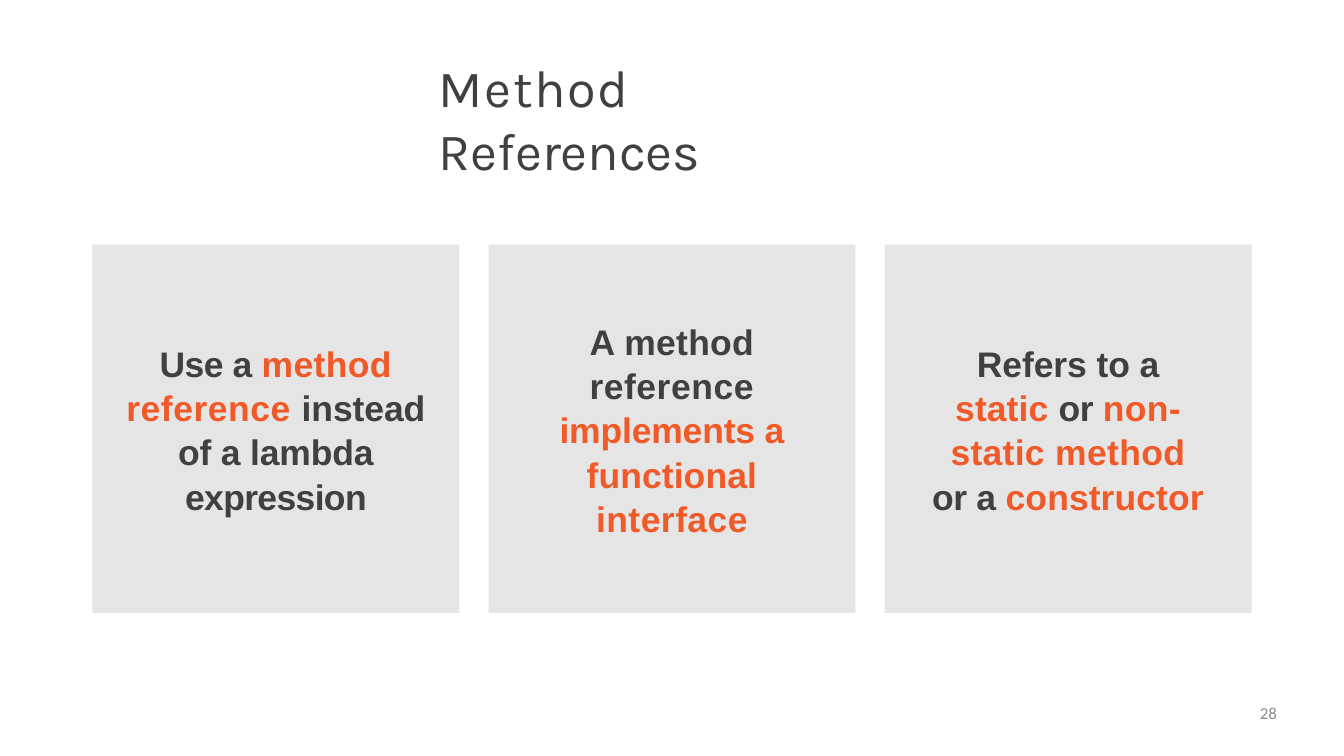
"""Build the slide that introduces method references in three cards."""
import pptx
import pptx.dml.color
import pptx.enum.shapes
import pptx.enum.text
import pptx.util

Inches = pptx.util.Inches
ALIGN = pptx.enum.text.PP_ALIGN
ANCHOR = pptx.enum.text.MSO_ANCHOR

DARK, ORANGE, GREY, PALE = "404040", "F05A28", "8C8C8C", "E5E5E5"
SLIDE_WIDTH, SLIDE_HEIGHT = 20, 11.25
CARD_WIDTH, CARD_HEIGHT, CARD_TOP, CARD_PITCH = 5.46, 5.48, 3.64, 5.895

TITLE = [[("Method", DARK, 1.7)], [("References", DARK, -0.1)]]
PAGE_NUMBER = [[("28", GREY, 0)]]
CARDS = [
    [
        [("Use a ", DARK, -0.5), ("method", ORANGE, 0.4)],
        [("reference ", ORANGE, 0.6), ("instead", DARK, -0.1)],
        [("of a lambda", DARK, -0.2)],
        [("expression", DARK, -0.7)],
    ],
    [
        [("A method", DARK, 0.3)],
        [("reference", DARK, 0.6)],
        [("implements a", ORANGE, -0.2)],
        [("functional", ORANGE, 0.1)],
        [("interface", ORANGE, 0.5)],
    ],
    [
        [("Refers to a", DARK, -0.1)],
        [("static ", ORANGE, 0.1), ("or ", DARK, -0.5), ("non-", ORANGE, 0.3)],
        [("static ", ORANGE, 0.3), ("method", ORANGE, 0.4)],
        [("or a ", DARK, -0.4), ("constructor", ORANGE, 0.1)],
    ],
]


def rgb(value):
    return pptx.dml.color.RGBColor.from_string(value)


def write(shape, lines, font, size, align, anchor=ANCHOR.TOP, bold=False, spacing=1.0):
    frame = shape.text_frame
    frame.word_wrap = True
    frame.vertical_anchor = anchor
    frame.margin_left = frame.margin_top = frame.margin_right = frame.margin_bottom = 0
    paragraph = frame.paragraphs[0]
    paragraph.alignment = align
    paragraph.line_spacing = spacing
    for index, line in enumerate(lines):
        if index:
            paragraph.add_line_break()
        for text, color, tracking in line:
            run = paragraph.add_run()
            run.text = text
            run.font.name = font
            run.font.size = pptx.util.Pt(size)
            run.font.bold = bold
            run.font.color.rgb = rgb(color)
            run.font._element.set("spc", str(round(tracking * 100)))


def add_card(slide, center, lines):
    card = slide.shapes.add_shape(
        pptx.enum.shapes.MSO_SHAPE.RECTANGLE,
        Inches(center - CARD_WIDTH / 2), Inches(CARD_TOP),
        Inches(CARD_WIDTH), Inches(CARD_HEIGHT),
    )
    card.shadow.inherit = False
    card.fill.solid()
    card.fill.fore_color.rgb = rgb(PALE)
    card.line.fill.background()
    write(card, lines, "Arial", 38, ALIGN.CENTER, ANCHOR.MIDDLE, True, 1.04)


def main():
    deck = pptx.Presentation()
    deck.slide_width, deck.slide_height = Inches(SLIDE_WIDTH), Inches(SLIDE_HEIGHT)
    slide = deck.slides.add_slide(deck.slide_layouts[6])

    title = slide.shapes.add_textbox(Inches(6.53), Inches(0.82), Inches(6.94), Inches(0.96))
    write(title, TITLE, "Karla", 56, ALIGN.LEFT)

    for index, lines in enumerate(CARDS):
        add_card(slide, SLIDE_WIDTH / 2 + (index - 1) * CARD_PITCH, lines)

    number = slide.shapes.add_textbox(Inches(14.4), Inches(10.46), Inches(4.6), Inches(0.56))
    write(number, PAGE_NUMBER, "Calibri", 18, ALIGN.RIGHT)

    deck.save("out.pptx")


if __name__ == "__main__":
    main()
